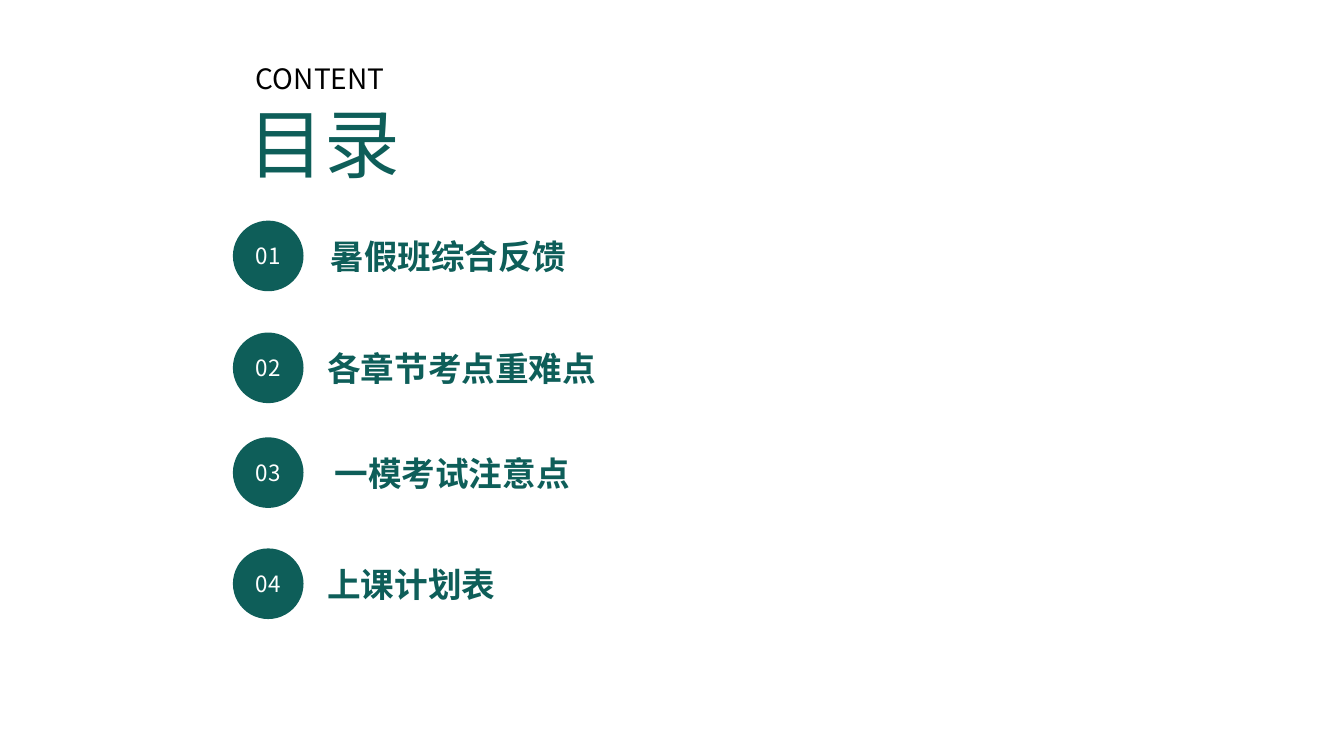
from dataclasses import dataclass

from pptx import Presentation
from pptx import util as u
from pptx.dml import color
from pptx.enum import shapes, text
from pptx.oxml import ns


@dataclass(frozen=True)
class Theme:
    font: str = "Noto Sans CJK SC"
    green: str = "0E5E59"
    white: str = "FFFFFF"
    black: str = "000000"
    title: int = 54
    item: int = 24
    label: int = 20
    number: int = 16


THEME = Theme()
CIRCLE_LEFT = 5.87
CIRCLE_SIZE = 1.78
ITEM_WIDTH = 8.15
ITEM_HEIGHT = 1.27
ITEMS = [
    ("暑假班综合反馈", 5.56, 8.08),
    ("各章节考点重难点", 8.38, 8.0),
    ("一模考试注意点", 11.02, 8.18),
    ("上课计划表", 13.82, 8.0),
]


def write(shape, wording, size, ink, align, bold=False):
    frame = shape.text_frame
    frame.word_wrap = True
    frame.vertical_anchor = text.MSO_ANCHOR.MIDDLE
    para = frame.paragraphs[0]
    para.text = wording
    para.alignment = align
    font = para.font
    font.size = u.Pt(size)
    font.bold = bold
    font.color.rgb = color.RGBColor.from_string(ink)
    font.name = THEME.font
    for latin in shape.element.iter(ns.qn("a:latin")):
        east_asian = latin.makeelement(ns.qn("a:ea"), {"typeface": THEME.font})
        latin.addnext(east_asian)


def add_text(page, wording, place, size, ink, align, bold=False):
    box = page.shapes.add_textbox(*map(u.Cm, place))
    write(box, wording, size, ink, align, bold)


def add_number(page, number, top):
    circle = page.shapes.add_shape(
        shapes.MSO_SHAPE.OVAL,
        *map(u.Cm, (CIRCLE_LEFT, top, CIRCLE_SIZE, CIRCLE_SIZE)),
    )
    circle.shadow.inherit = False
    circle.fill.solid()
    circle.fill.fore_color.rgb = color.RGBColor.from_string(THEME.green)
    circle.line.fill.background()
    write(circle, f"{number:02d}", THEME.number, THEME.white, text.PP_ALIGN.CENTER)


def add_item(page, number, wording, top, left):
    add_number(page, number, top)
    text_top = top + (CIRCLE_SIZE - ITEM_HEIGHT) / 2
    add_text(page, wording, (left, text_top, ITEM_WIDTH, ITEM_HEIGHT),
             THEME.item, THEME.green, text.PP_ALIGN.LEFT, bold=True)


def main():
    deck = Presentation()
    deck.slide_width, deck.slide_height = u.Cm(33.87), u.Cm(19.05)
    page = deck.slides.add_slide(deck.slide_layouts[6])
    add_text(page, "目录", (6.02, 2.29, 6.27, 2.57),
             THEME.title, THEME.green, text.PP_ALIGN.JUSTIFY)
    add_text(page, "CONTENT", (6.2, 1.42, 5.94, 1.12),
             THEME.label, THEME.black, text.PP_ALIGN.JUSTIFY)
    for number, (wording, top, left) in enumerate(ITEMS, start=1):
        add_item(page, number, wording, top, left)
    deck.save("out.pptx")


if __name__ == "__main__":
    main()
